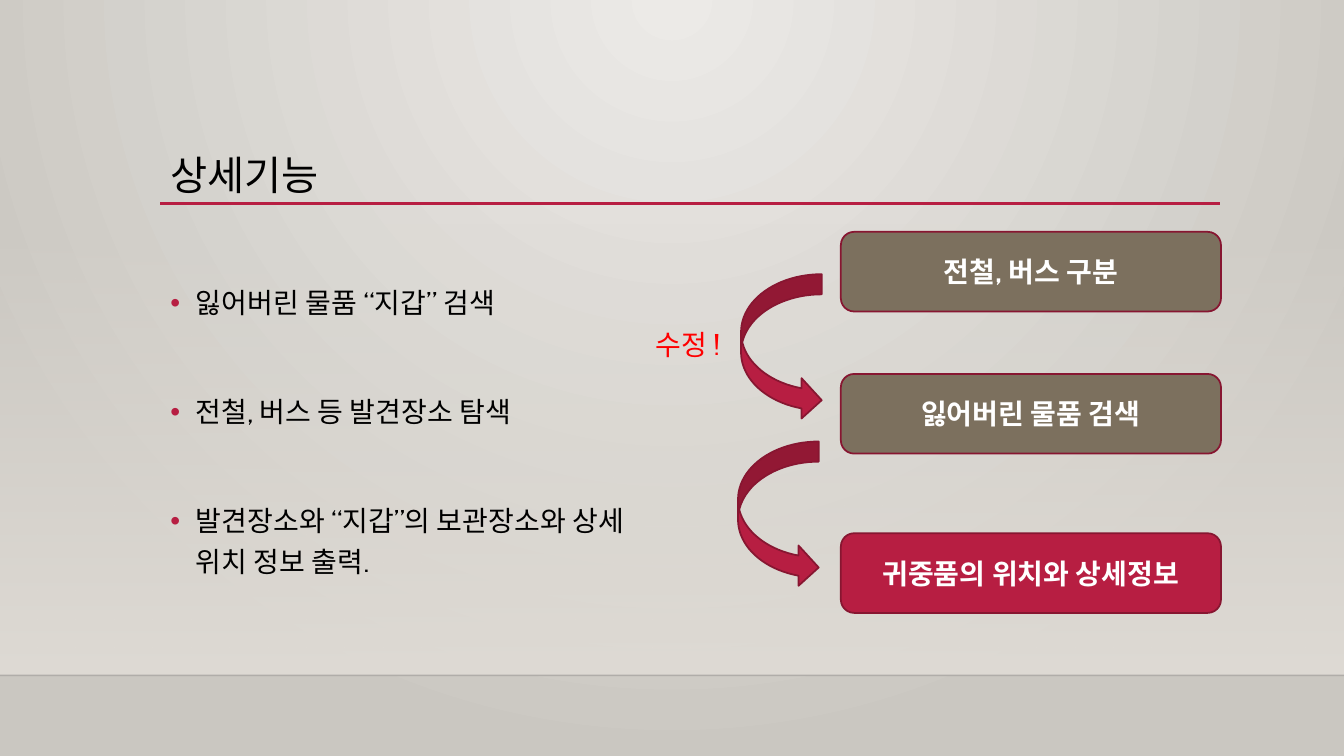
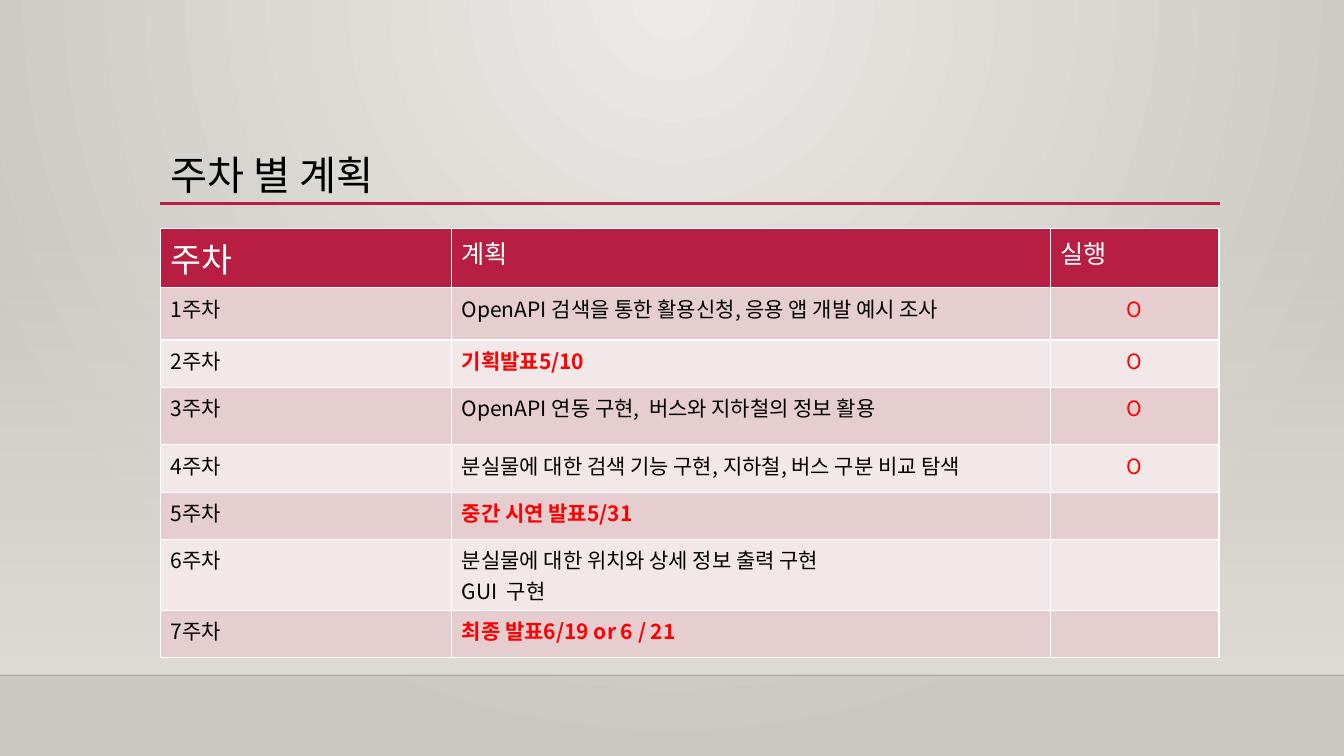
from lxml.etree import SubElement
from pptx import Presentation
from pptx.dml.color import RGBColor
from pptx.enum.shapes import MSO_CONNECTOR as Connector, MSO_SHAPE as Shape
from pptx.enum.text import MSO_ANCHOR as Anchor, MSO_AUTO_SIZE as AutoSize, PP_ALIGN as Align
from pptx.oxml import parse_xml
from pptx.oxml.ns import nsdecls, qn
from pptx.util import Inches, Pt

WIDTH, HEIGHT = 13.33, 7.5
LEFT, CONTENT_WIDTH = 1.59, 10.5
FLOOR = 6.7
TEXT_FONT, TABLE_FONT = "Cabin", "Noto Sans CJK KR"
BLACK, WHITE, RED = "000000", "FFFFFF", "FF0000"
CRIMSON, DARK_CRIMSON, TAUPE = "B71E42", "871631", "7C705E"
ROW_FILLS = ("E6CDCF", "F3E8E9")


def color(value):
    return RGBColor.from_string(value)


def box_inches(*lengths):
    return [Inches(length) for length in lengths]


def write_text(frame, lines, size=20, ink=BLACK, font=TEXT_FONT, bold=False,
               align=Align.LEFT, spacing=None, before=None, gap=None):
    """Write one paragraph per line; gap is the space before later paragraphs."""
    for index, line in enumerate(lines):
        paragraph = frame.paragraphs[0] if index == 0 else frame.add_paragraph()
        paragraph.alignment = align
        paragraph.line_spacing = spacing
        space = gap if index and gap is not None else before
        if space is not None:
            paragraph.space_before = Pt(space)
        run = paragraph.add_run()
        run.text = line
        run.font.size, run.font.bold, run.font.name = Pt(size), bold, font
        run.font.color.rgb = color(ink)
        east_asian = SubElement(run.font._element, qn("a:ea"))
        east_asian.set("typeface", font)


def set_gradient(fill, properties, stops, direction):
    """Fill with stops of (position, colour, opacity), all in percent."""
    fill.background()
    stop_xml = "".join(
        f'<a:gs pos="{position * 1000}"><a:srgbClr val="{value}">'
        f'<a:alpha val="{opacity * 1000}"/></a:srgbClr></a:gs>'
        for position, value, opacity in stops)
    gradient = parse_xml(f'<a:gradFill {nsdecls("a")} rotWithShape="1">'
                         f"<a:gsLst>{stop_xml}</a:gsLst>{direction}</a:gradFill>")
    properties.replace(properties.find(qn("a:noFill")), gradient)


def add_rule(slide, left, right, top, ink, weight, opacity=100):
    rule = slide.shapes.add_connector(
        Connector.STRAIGHT, *box_inches(left, top, right, top))
    rule.line.color.rgb = color(ink)
    rule.line.width = Pt(weight)
    alpha = SubElement(rule.element.xpath(".//a:ln//a:srgbClr")[0], qn("a:alpha"))
    alpha.set("val", str(opacity * 1000))
    SubElement(rule.element.spPr, qn("a:effectLst"))
    return rule


def add_shape(slide, kind, box, fill):
    shape = slide.shapes.add_shape(kind, *box_inches(*box))
    shape.shadow.inherit = False
    shape.fill.solid()
    shape.fill.fore_color.rgb = color(fill)
    shape.line.color.rgb = color(DARK_CRIMSON)
    shape.line.width = Pt(1.25)
    return shape


def build_master(master, slide):
    """Build the shared backdrop on a slide and move it to the master."""
    fill = master.background.fill
    set_gradient(
        fill, master.element.xpath("p:cSld/p:bg/p:bgPr")[0],
        [(0, "ECEAE7", 100), (100, "CAC7C1", 100)],
        '<a:path path="circle"><a:fillToRect l="43000" r="43000" b="100000"/></a:path>')

    # Wall that fades in down to the floor line
    wall = slide.shapes.add_shape(
        Shape.RECTANGLE, *box_inches(0, 2.21, WIDTH, FLOOR - 2.21))
    wall.shadow.inherit = False
    wall.line.fill.background()
    set_gradient(wall.fill, wall.element.spPr,
                 [(0, "DFDBD5", 0), (100, "DFDBD5", 100)], '<a:lin ang="5400000"/>')

    # Floor line and title rule
    floor_line = add_rule(slide, 0, WIDTH, FLOOR, "000001", 1, opacity=20)
    title_rule = add_rule(slide, LEFT, 12.1, 2.02, CRIMSON, 2.5)
    for index, part in enumerate((wall, floor_line, title_rule)):
        part.element.xpath(".//p:cNvPr")[0].set("id", str(20 + index))
        master.shapes.element.insert(2 + index, part.element)


def place_placeholder(placeholder, box, anchor):
    placeholder.left, placeholder.top, placeholder.width, placeholder.height = box_inches(*box)
    frame = placeholder.text_frame
    frame.word_wrap = True
    frame.auto_size = AutoSize.NONE
    frame.vertical_anchor = anchor
    return frame


def add_title(slide, text):
    frame = place_placeholder(
        slide.shapes.title, (LEFT, 1.49, CONTENT_WIDTH, 0.54), Anchor.MIDDLE)
    write_text(frame, [text], size=28.8, spacing=0.9)


def add_bullets(slide, box, lines):
    frame = place_placeholder(slide.placeholders[1], box, Anchor.TOP)
    write_text(frame, lines, spacing=1.2, before=10, gap=49)
    for paragraph in frame.paragraphs:
        properties = paragraph._p.get_or_add_pPr()
        properties.set("marL", str(Inches(0.25)))
        properties.set("indent", str(-Inches(0.25)))
        bullet_color = SubElement(properties, qn("a:buClr"))
        SubElement(bullet_color, qn("a:srgbClr")).set("val", CRIMSON)
        SubElement(properties, qn("a:buChar")).set("char", "•")


def add_flow(slide, left, top):
    """Stack the steps, with curved arrows and a note on their left."""
    steps = [(0, "전철, 버스 구분", TAUPE),
             (1.41, "잃어버린 물품 검색", TAUPE),
             (2.99, "귀중품의 위치와 상세정보", CRIMSON)]
    for offset, label, fill in steps:
        step = add_shape(slide, Shape.ROUNDED_RECTANGLE,
                         (left, top + offset, 3.77, 0.79), fill)
        step.text_frame.vertical_anchor = Anchor.MIDDLE
        write_text(step.text_frame, [label], ink=WHITE, bold=True, align=Align.CENTER)

    for across, down in ((-0.99, 0.42), (-1.02, 2.08)):
        add_shape(slide, Shape.CURVED_RIGHT_ARROW,
                  (left + across, top + down, 0.8, 1.45), CRIMSON)

    note = slide.shapes.add_textbox(*box_inches(left - 1.94, top + 0.83, 4.42, 0.53))
    note.text_frame.word_wrap = True
    write_text(note.text_frame, ["수정 !"], ink=RED, spacing=1.2, before=10)


def add_plan_table(slide, left, top):
    headers = [("주차", 24), ("계획", 18), ("실행", 18)]
    # Row height, plan lines, milestone or not, done mark
    weeks = [
        (0.52, ["OpenAPI 검색을 통한 활용신청, 응용 앱 개발 예시 조사"], False, "O"),
        (0.47, ["기획발표5/10"], True, "O"),
        (0.57, ["OpenAPI 연동 구현,  버스와 지하철의 정보 활용"], False, "O"),
        (0.47, ["분실물에 대한 검색 기능 구현, 지하철, 버스 구분 비교 탐색"], False, "O"),
        (0.47, ["중간 시연 발표5/31"], True, ""),
        (0.68, ["분실물에 대한 위치와 상세 정보 출력 구현", "GUI  구현"], False, ""),
        (0.47, ["최종 발표6/19 or 6 / 21"], True, ""),
    ]
    heights = [0.5] + [week[0] for week in weeks]
    table = slide.shapes.add_table(
        len(heights), len(headers),
        *box_inches(left, top, CONTENT_WIDTH, sum(heights))).table
    for column, width in zip(table.columns, (2.89, 5.94, 1.67)):
        column.width = Inches(width)
    for row, height in zip(table.rows, heights):
        row.height = Inches(height)

    def fill_cell(row, column, lines, fill, **style):
        cell = table.cell(row, column)
        cell.fill.solid()
        cell.fill.fore_color.rgb = color(fill)
        write_text(cell.text_frame, lines, font=TABLE_FONT, **style)

    for column, (header, size) in enumerate(headers):
        fill_cell(0, column, [header], CRIMSON, size=size, ink=WHITE)
    for number, (_, plan, milestone, done) in enumerate(weeks, start=1):
        fill = ROW_FILLS[(number - 1) % 2]
        fill_cell(number, 0, [f"{number}주차"], fill, size=15)
        fill_cell(number, 1, plan, fill, size=15, bold=milestone,
                  ink=RED if milestone else BLACK)
        fill_cell(number, 2, [done] if done else [], fill, size=15, ink=RED,
                  align=Align.CENTER)


def build_feature_slide(slide):
    add_title(slide, "상세기능")
    add_bullets(slide, (LEFT, 2.72, 4.82, 4.21), [
        "잃어버린 물품 “지갑” 검색",
        "전철, 버스 등 발견장소 탐색",
        "발견장소와 “지갑”의 보관장소와 상세 위치 정보 출력.",
    ])
    add_flow(slide, 8.34, 2.3)


def build_plan_slide(slide):
    add_title(slide, "주차 별 계획")
    add_plan_table(slide, LEFT, 2.27)


def main():
    presentation = Presentation()
    presentation.slide_width, presentation.slide_height = box_inches(WIDTH, HEIGHT)
    layouts = presentation.slide_layouts
    feature_slide = presentation.slides.add_slide(layouts.get_by_name("Title and Content"))
    build_master(presentation.slide_master, feature_slide)
    build_feature_slide(feature_slide)
    build_plan_slide(presentation.slides.add_slide(layouts.get_by_name("Title Only")))
    presentation.save("out.pptx")


if __name__ == "__main__":
    main()
